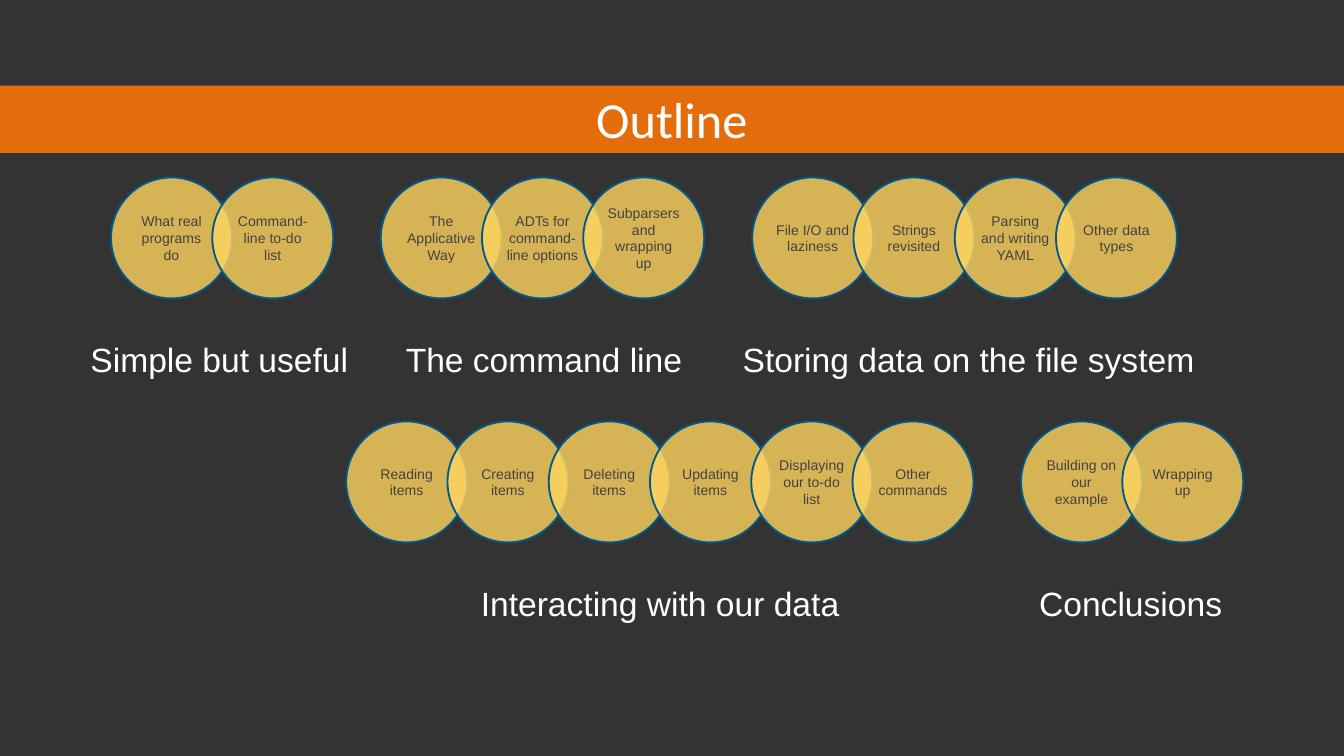
from dataclasses import dataclass

from lxml import etree
from pptx import Presentation
from pptx.dml.color import RGBColor
from pptx.enum.shapes import MSO_SHAPE
from pptx.enum.text import MSO_ANCHOR, MSO_AUTO_SIZE, PP_ALIGN
from pptx.oxml.ns import qn
from pptx.util import Pt

RECT, OVAL = MSO_SHAPE.RECTANGLE, MSO_SHAPE.OVAL
TOP, MIDDLE = MSO_ANCHOR.TOP, MSO_ANCHOR.MIDDLE
CENTER = PP_ALIGN.CENTER
GROW = MSO_AUTO_SIZE.SHAPE_TO_FIT_TEXT


@dataclass(frozen=True)
class Theme:
    background: str = "333333"
    band: str = "E46C0A"
    circle: str = "FFD55F"
    outline: str = "01588C"
    light: str = "FFFFFF"
    dark: str = "424242"
    title_font: str = "Calibri"
    body_font: str = "Arial"
    title_size: float = 27
    label_size: float = 18
    topic_size: float = 7.5
    circle_opacity: int = 80


@dataclass(frozen=True)
class Chapter:
    label: str
    label_left: float
    label_width: float
    left: float
    top: float
    topics: tuple[str, ...]


THEME = Theme()

# Layout in points
WIDTH, HEIGHT = 720, 405
DIAMETER, PITCH = 64.8, 54.25
ROW_1, ROW_2 = 95.1, 225.8
LABEL_DROP, LABEL_HEIGHT = 82.9, 29

CHAPTERS = (
    Chapter("Simple but useful", 37.2, 160.6, 59.5, ROW_1,
            ("What real programs do", "Command-line to-do list")),
    Chapter("The command line", 210.1, 162.7, 204, ROW_1,
            ("The Applicative Way", "ADTs for command-line options",
             "Subparsers and wrapping up")),
    Chapter("Storing data on the file system", 390, 257.8, 403, ROW_1,
            ("File I/O and laziness", "Strings revisited",
             "Parsing and writing YAML", "Other data types")),
    Chapter("Interacting with our data", 246, 215.3, 185.5, ROW_2,
            ("Reading items", "Creating items", "Deleting items",
             "Updating items", "Displaying our to-do list", "Other commands")),
    Chapter("Conclusions", 545.6, 120.2, 547, ROW_2,
            ("Building on our example", "Wrapping up")),
)


def rgb(color: str) -> RGBColor:
    return RGBColor.from_string(color)


def write(sp, text: str, *, size: float, color: str,
          font: str = THEME.body_font, anchor=TOP,
          inset: tuple[float, float] = (7.2, 3.6), grow: bool = False) -> None:
    tf = sp.text_frame
    tf.word_wrap = True
    tf.vertical_anchor = anchor
    tf.margin_left = tf.margin_right = Pt(inset[0])
    tf.margin_top = tf.margin_bottom = Pt(inset[1])
    if grow:
        tf.auto_size = GROW
    p = tf.paragraphs[0]
    p.alignment = CENTER
    r = p.add_run()
    r.text = text
    r.font.name = font
    r.font.size = Pt(size)
    r.font.color.rgb = rgb(color)


def draw_band(s, title: str) -> None:
    sp = s.shapes.add_shape(RECT, Pt(0), Pt(45.9), Pt(WIDTH), Pt(36))
    sp.shadow.inherit = False
    sp.fill.solid()
    sp.fill.fore_color.rgb = rgb(THEME.band)
    sp.line.fill.background()
    write(sp, title, size=THEME.title_size, color=THEME.light,
          font=THEME.title_font, inset=(3.6, 1.44), grow=True)


def draw_topic(s, topic: str, left: float, top: float) -> None:
    sp = s.shapes.add_shape(OVAL, Pt(left), Pt(top), Pt(DIAMETER), Pt(DIAMETER))
    sp.shadow.inherit = False
    sp.fill.solid()
    sp.fill.fore_color.rgb = rgb(THEME.circle)
    # Transparency lets overlapping circles show through
    fill_color = sp._element.spPr.find(qn("a:solidFill"))[0]
    etree.SubElement(fill_color, qn("a:alpha"),
                     val=str(THEME.circle_opacity * 1000))
    sp.line.color.rgb = rgb(THEME.outline)
    sp.line.width = Pt(1)
    write(sp, topic, size=THEME.topic_size, color=THEME.dark,
          anchor=MIDDLE, inset=(2.8, 3.6))


def draw_chapter(s, chapter: Chapter) -> None:
    for i, topic in enumerate(chapter.topics):
        draw_topic(s, topic, chapter.left + i * PITCH, chapter.top)
    sp = s.shapes.add_textbox(Pt(chapter.label_left), Pt(chapter.top + LABEL_DROP),
                              Pt(chapter.label_width), Pt(LABEL_HEIGHT))
    write(sp, chapter.label, size=THEME.label_size, color=THEME.light, grow=True)


def main() -> None:
    prs = Presentation()
    prs.slide_width, prs.slide_height = Pt(WIDTH), Pt(HEIGHT)
    s = prs.slides.add_slide(prs.slide_layouts[6])
    s.background.fill.solid()
    s.background.fill.fore_color.rgb = rgb(THEME.background)

    # Title band, then the chapters with their topic circles
    draw_band(s, "Outline")
    for chapter in CHAPTERS:
        draw_chapter(s, chapter)
    prs.save("out.pptx")


if __name__ == "__main__":
    main()
